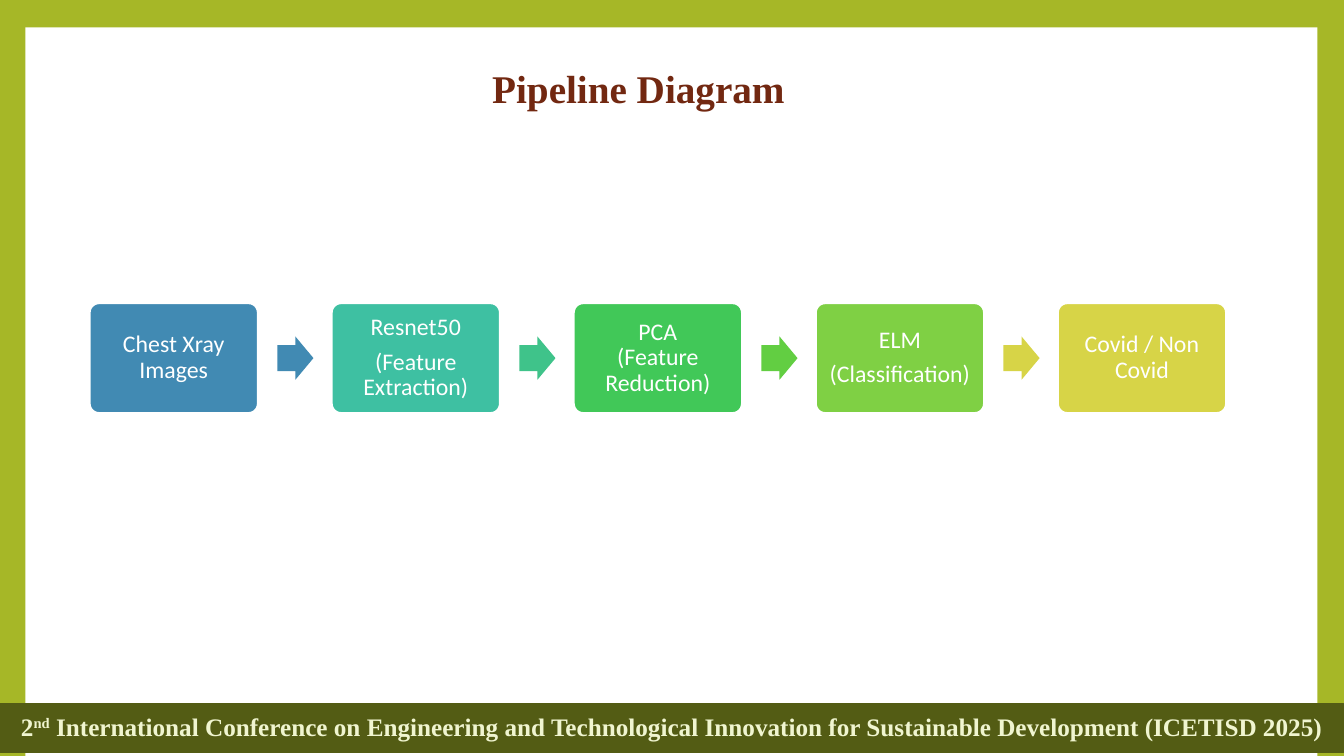
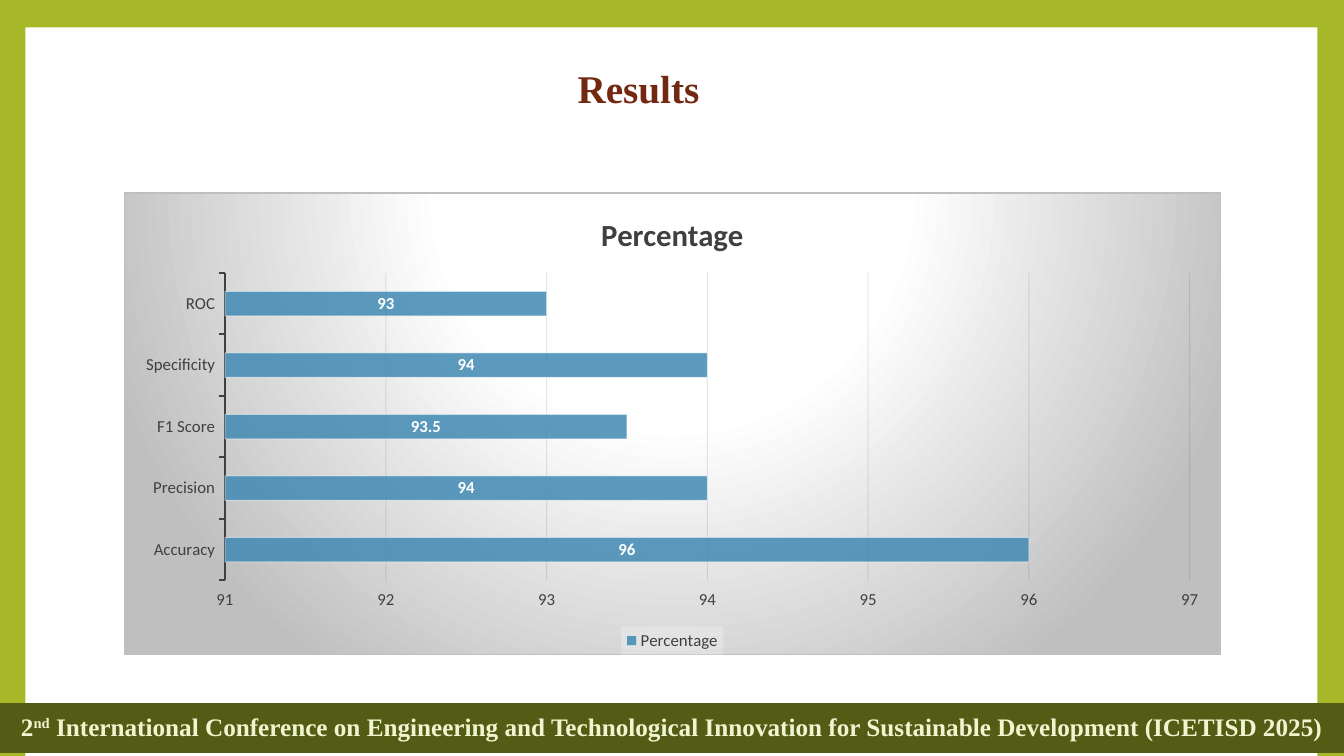
from lxml import etree
from pptx import Presentation
from pptx.chart.data import CategoryChartData
from pptx.dml.color import RGBColor
from pptx.enum.chart import XL_CHART_TYPE, XL_LABEL_POSITION, XL_LEGEND_POSITION, XL_TICK_MARK
from pptx.enum.shapes import MSO_SHAPE
from pptx.enum.text import MSO_ANCHOR, PP_ALIGN
from pptx.oxml import parse_xml
from pptx.oxml.ns import nsdecls, qn
from pptx.util import Cm, Pt

RECT, ROUND, ARROW = MSO_SHAPE.RECTANGLE, MSO_SHAPE.ROUNDED_RECTANGLE, MSO_SHAPE.RIGHT_ARROW
CENTER, MIDDLE = PP_ALIGN.CENTER, MSO_ANCHOR.MIDDLE
BAR, BOTTOM = XL_CHART_TYPE.BAR_STACKED, XL_LEGEND_POSITION.BOTTOM
SERIF, SANS = "Times New Roman", "Calibri"
HEX = {"lime": "A6B727", "white": "FFFFFF", "title": "722811", "band": "535C14",
       "cream": "F0F5D0", "blue": "418AB3", "gray": "404040", "grid": "0D0D0D"}
RGB = {name: RGBColor.from_string(code) for name, code in HEX.items()}


def style(font, name, size, color, bold=False):
    font.name, font.size, font.bold = name, Pt(size), bold
    font.color.rgb = RGB[color]


def paint(fill, color, alpha=100):
    fill.solid()
    fill.fore_color.rgb = RGBColor.from_string(color)
    if alpha < 100:
        tone = fill._xPr.xpath("a:solidFill/a:srgbClr")[0]
        etree.SubElement(tone, qn("a:alpha")).set("val", str(alpha * 1000))


# Deck and shared background
deck = Presentation()
deck.slide_width, deck.slide_height = Cm(33.87), Cm(19.05)
paint(deck.slide_master.background.fill, HEX["lime"])

# Frame, title and footer band of every slide
pages = []
for text in ("Pipeline Diagram", "Results"):
    page = deck.slides.add_slide(deck.slide_layouts[5])
    pages.append(page)

    frame = page.shapes.add_shape(RECT, Cm(0.64), Cm(0.69), Cm(32.56), Cm(18.39))
    frame.shadow.inherit = False
    paint(frame.fill, HEX["white"])
    frame.line.fill.background()
    page.shapes._spTree.insert(2, frame._element)

    title = page.shapes.title
    title.left, title.top, title.width, title.height = Cm(6.07), Cm(1.68), Cm(20.04), Cm(1.24)
    title.text_frame.text = text
    title.text_frame.vertical_anchor = MIDDLE
    head = title.text_frame.paragraphs[0]
    head.alignment, head.line_spacing = CENTER, 0.9
    style(head.runs[0].font, SERIF, 28, "title", True)

    band = page.shapes.add_shape(RECT, 0, Cm(17.73), deck.slide_width, Cm(1.24))
    band.shadow.inherit = False
    paint(band.fill, HEX["band"])
    paint(band.line.fill, HEX["band"])
    band.line.width = Pt(0.75)
    band.text_frame.vertical_anchor = MIDDLE
    foot = band.text_frame.paragraphs[0]
    foot.alignment, foot.line_spacing = CENTER, 0.9
    for part in ("2", "nd", " International Conference on Engineering and Technological "
                 "Innovation for Sustainable Development (ICETISD 2025)"):
        run = foot.add_run()
        run.text = part
        style(run.font, SERIF, 18, "cream", True)
    foot.runs[1]._r.get_or_add_rPr().set("baseline", "30000")

# Pipeline: text, box colour, colour of the arrow that follows
steps = [
    ("Chest Xray Images", "418AB3", "418AB3"),
    ("Resnet50\n(Feature Extraction)", "3EC0A2", "3FC38A"),
    ("PCA\v(Feature Reduction)", "41C858", "62CE42"),
    ("ELM\n(Classification)", "7FD044", "D7D447"),
    ("Covid / Non Covid", "D7D447", None),
]
shapes = pages[0].shapes
for i, (text, color, next_color) in enumerate(steps):
    left = Cm(2.21 + 6.1 * i)
    box = shapes.add_shape(ROUND, left, Cm(7.59), Cm(4.34), Cm(2.87))
    box.adjustments[0] = 0.1
    box.shadow.inherit = False
    paint(box.fill, color)
    paint(box.line.fill, HEX["white"])
    box.line.width = Pt(4.25)
    body = box.text_frame
    body.text, body.vertical_anchor = text, MIDDLE
    body.margin_left = body.margin_right = Cm(0.2)
    for para in body.paragraphs:
        para.alignment, para.line_spacing, para.space_after = CENTER, 0.9, Pt(6)
        for run in para.runs:
            style(run.font, SANS, 17, "white")
    if next_color:
        arrow = shapes.add_shape(ARROW, left + Cm(4.78), Cm(8.48), Cm(0.91), Cm(1.09))
        arrow.adjustments[0], arrow.adjustments[1] = 0.6, 0.5
        arrow.shadow.inherit = False
        paint(arrow.fill, next_color)
        arrow.line.fill.background()

# Results chart
data = CategoryChartData()
data.categories = ["Accuracy", "Precision", "F1 Score", "Specificity", "ROC"]
data.add_series("Percentage", [96, 94, 93.5, 94, 93])
chart = pages[1].shapes.add_chart(BAR, Cm(3.12), Cm(4.85), Cm(27.64), Cm(11.66), data).chart
style(chart.font, SANS, 12, "gray")
chart.has_title = True
chart.chart_title.include_in_layout = False
chart.chart_title.text_frame.text = "Percentage"
style(chart.chart_title.text_frame.paragraphs[0].runs[0].font, SANS, 22, "gray", True)

# Bars and labels
plot = chart.plots[0]
plot.gap_width, plot.overlap, plot.vary_by_categories = 150, 100, False
bars = plot.series[0]
paint(bars.format.fill, HEX["blue"], 85)
paint(bars.format.line.fill, HEX["white"], 50)
bars.format.line.width = Pt(0.75)
labels = bars.data_labels
labels.show_value, labels.position = True, XL_LABEL_POSITION.CENTER
style(labels.font, SANS, 12, "white", True)

# Axes
cats, vals = chart.category_axis, chart.value_axis
for axis in (cats, vals):
    axis.major_tick_mark, axis.minor_tick_mark = XL_TICK_MARK.OUTSIDE, XL_TICK_MARK.NONE
    style(axis.tick_labels.font, SANS, 12, "gray")
paint(cats.format.line.fill, HEX["gray"])
cats.format.line.width = Pt(1.5)
vals.minimum_scale, vals.maximum_scale, vals.major_unit = 91, 97, 1
vals.format.line.fill.background()
grid = vals.major_gridlines.format.line
paint(grid.fill, HEX["grid"], 10)
grid.width = Pt(0.75)

# Legend with a pale veil
chart.has_legend = True
key = chart.legend
key.position, key.include_in_layout = BOTTOM, False
style(key.font, SANS, 12, "gray")
key._element.find(qn("c:txPr")).addprevious(parse_xml(
    f'<c:spPr {nsdecls("c", "a")}><a:solidFill><a:srgbClr val="F2F2F2">'
    '<a:alpha val="39000"/></a:srgbClr></a:solidFill></c:spPr>'))

# Radial chart background
stops = "".join(f'<a:gs pos="{pos}000"><a:srgbClr val="{color}"/></a:gs>'
                for pos, color in ((0, "FFFFFF"), (39, "FFFFFF"), (100, "BFBFBF")))
chart._chartSpace.find(qn("c:chart")).addnext(parse_xml(
    f'<c:spPr {nsdecls("c", "a")}><a:gradFill><a:gsLst>{stops}</a:gsLst>'
    '<a:path path="circle"><a:fillToRect l="50000" t="-80000" r="50000" b="180000"/></a:path>'
    '</a:gradFill><a:ln w="9525"><a:solidFill><a:srgbClr val="BFBFBF"/></a:solidFill></a:ln>'
    '</c:spPr>'))

deck.save("out.pptx")
